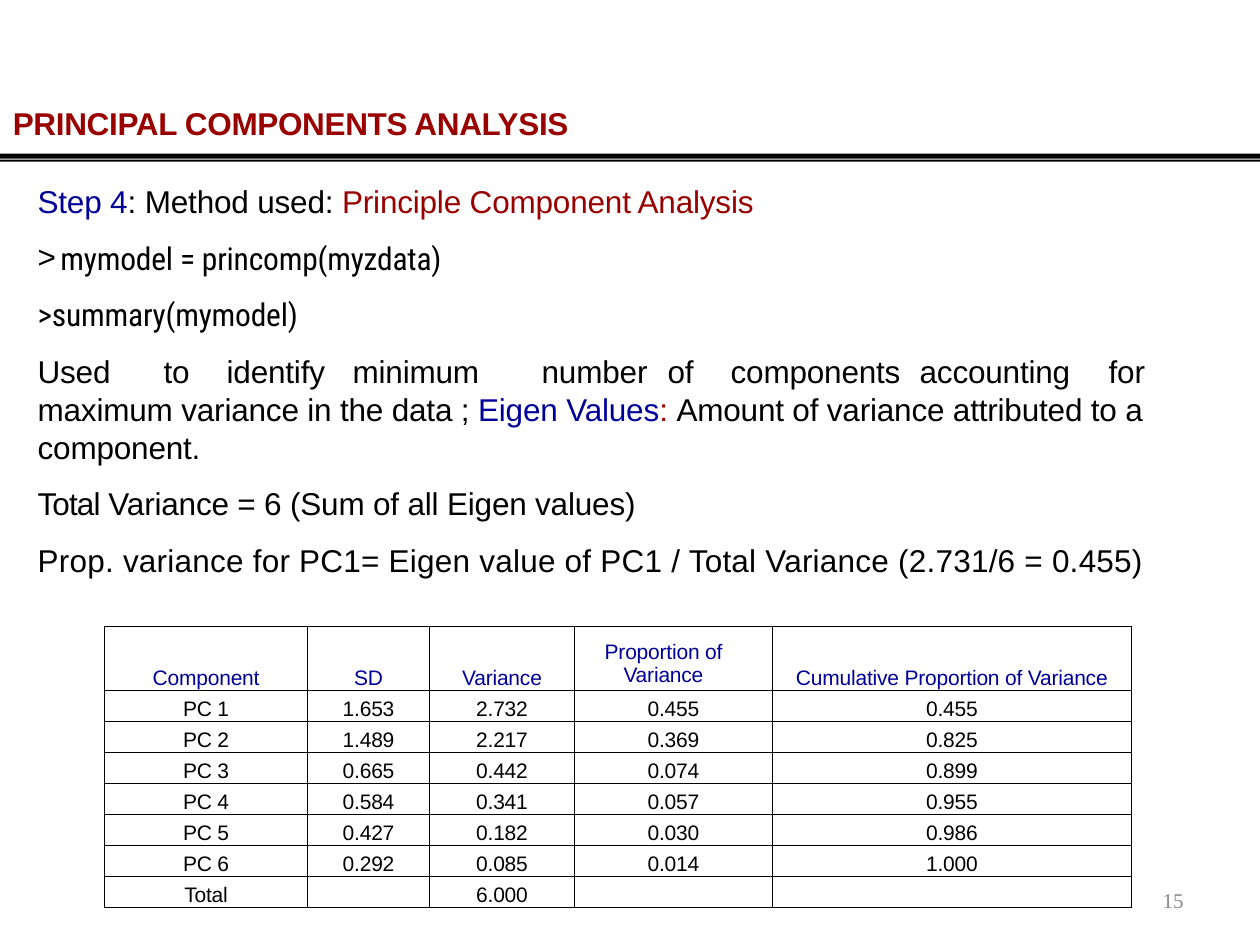
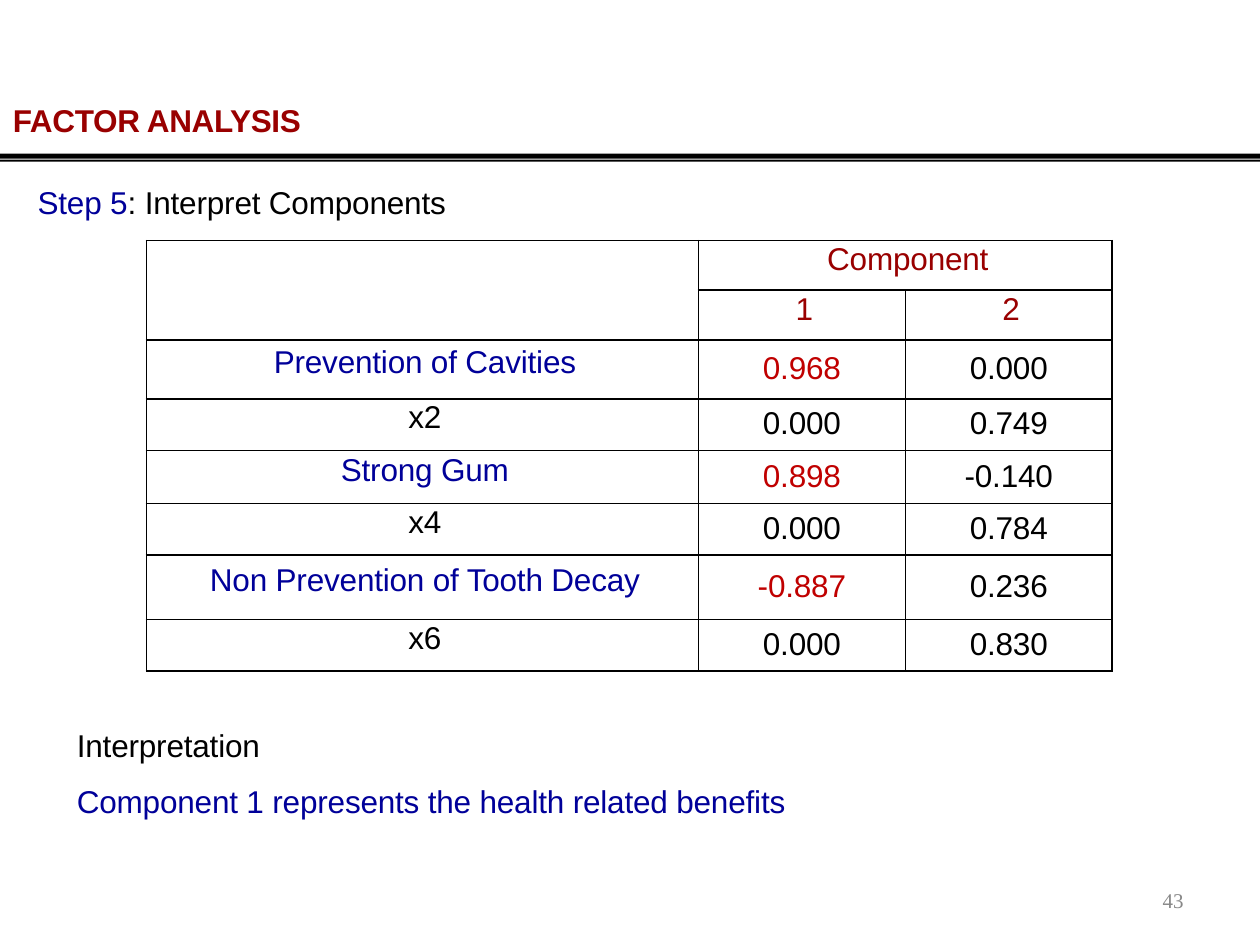
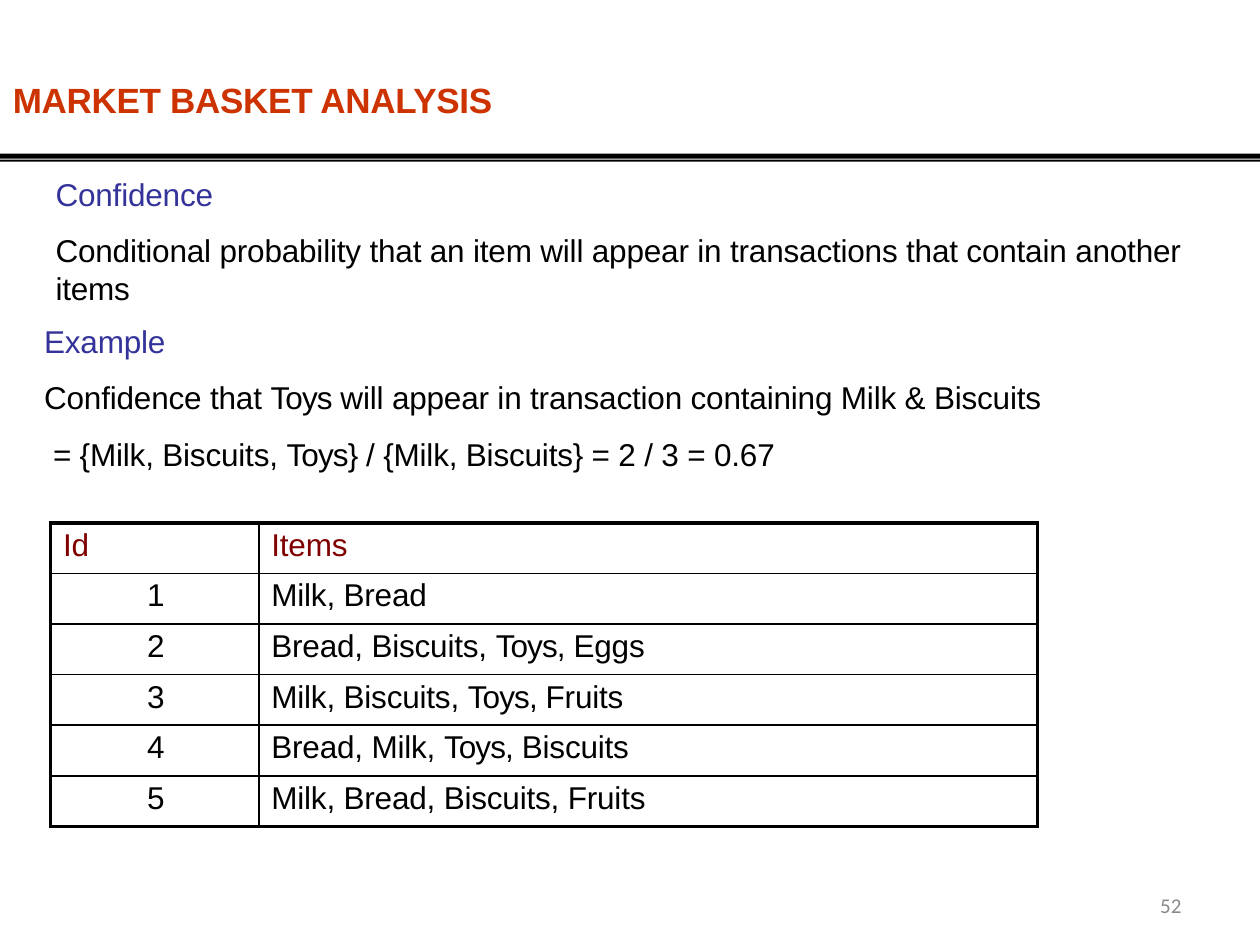
from dataclasses import dataclass
from typing import NamedTuple, Optional

from lxml.etree import SubElement
from pptx import Presentation
from pptx.dml.color import RGBColor
from pptx.enum.text import MSO_AUTO_SIZE as AutoSize, PP_ALIGN as Align
from pptx.oxml.ns import qn
from pptx.util import Cm, Pt

BLACK = RGBColor(0, 0, 0)
BLUE = RGBColor(0, 0, 0x99)
INDIGO = RGBColor(0x33, 0x33, 0x99)
DARK_RED = RGBColor(0x99, 0, 0)
RED = RGBColor(0xC0, 0, 0)
MAROON = RGBColor(0x80, 0, 0)
ORANGE = RGBColor(0xCC, 0x33, 0)
GREY = RGBColor(0x88, 0x88, 0x88)

SANS, CODE, SERIF, HUMANIST = "Arial", "Roboto Condensed", "Times New Roman", "Calibri"
TIGHT = -0.1
SLIDE_WIDTH, SLIDE_HEIGHT = 25.4, 19.05
BANDS = ((3.1, 3.2), (3.22, 3.26))


class Span(NamedTuple):
    text: str
    color: RGBColor = BLACK
    spacing: float = TIGHT


@dataclass
class Para:
    """A paragraph; indents and tabs in cm, spacing and sizes in points."""
    spans: tuple[Span, ...]
    left: float = 0
    first: float = 0
    before: float = 0
    size: float = 18
    font: str = SANS
    bold: bool = False
    align: Optional[Align] = None
    line: Optional[float] = None
    bullet: str = ""
    tabs: tuple[float, ...] = ()


@dataclass
class Cell:
    para: Para
    top: float = 0
    right: float = 0


class Place(NamedTuple):
    left: float
    top: float
    width: float
    height: float

    def lengths(self) -> list:
        return [Cm(value) for value in self]


def plain(text: str, color: RGBColor = BLACK, **options) -> Para:
    return Para((Span(text, color),), **options)


def write_para(paragraph, para: Para) -> None:
    properties = paragraph._p.get_or_add_pPr()
    properties.set("marL", str(Cm(para.left)))
    properties.set("indent", str(Cm(para.first)))
    paragraph.space_before = Pt(para.before)
    paragraph.alignment = para.align
    if para.line:
        paragraph.line_spacing = Pt(para.line)
    if para.bullet:
        SubElement(properties, qn("a:buFont"), typeface=SANS)
        SubElement(properties, qn("a:buChar"), char=para.bullet)
    if para.tabs:
        tab_list = SubElement(properties, qn("a:tabLst"))
        for position in para.tabs:
            SubElement(tab_list, qn("a:tab"), pos=str(Cm(position)), algn="l")
    for span in para.spans:
        run = paragraph.add_run()
        run.text = span.text
        run.font.name = para.font
        run.font.size = Pt(para.size)
        run.font.bold = para.bold
        run.font.color.rgb = span.color
        run._r.get_or_add_rPr().set("spc", str(round(span.spacing * 100)))


def add_text(slide, place: Place, paras: list[Para], inset: float = 0) -> None:
    box = slide.shapes.add_textbox(*place.lengths())
    frame = box.text_frame
    frame.word_wrap = True
    frame.auto_size = AutoSize.SHAPE_TO_FIT_TEXT
    frame.margin_left = frame.margin_right = frame.margin_bottom = 0
    frame.margin_top = Cm(inset)
    for index, para in enumerate(paras):
        write_para(frame.add_paragraph() if index else frame.paragraphs[0], para)


def add_title_rule(slide) -> None:
    """Draw the thick and thin band under the title as one outline."""
    builder = slide.shapes.build_freeform(0, Cm(BANDS[0][0]))
    for index, (top, bottom) in enumerate(BANDS):
        if index:
            builder.move_to(0, Cm(top))
        corners = ((SLIDE_WIDTH, top), (SLIDE_WIDTH, bottom), (0, bottom))
        builder.add_line_segments([(Cm(x), Cm(y)) for x, y in corners], close=True)
    rule = builder.convert_to_shape()
    rule.shadow.inherit = False
    rule.fill.solid()
    rule.fill.fore_color.rgb = BLACK
    rule.line.fill.background()


def add_page(deck, number: str, font: str = SERIF, indent: float = 0.15, line: float = 14.1):
    page = deck.slides.add_slide(deck.slide_layouts[6])
    add_title_rule(page)
    add_text(page, Place(23.29, 17.91, 0.69, 0.56),
             [Para((Span(number, GREY, 0),), left=indent, size=12, font=font, line=line)])
    return page


def title(text: str, color: RGBColor = DARK_RED, size: float = 18) -> Para:
    return Para((Span(text, color, -0.2),), left=0.03, size=size, bold=True)


def set_borders(cell, widths: dict[str, float]) -> None:
    properties = cell._tc.get_or_add_tcPr()
    for side, width in widths.items():
        line = SubElement(properties, qn(f"a:ln{side}"), w=str(Pt(width)))
        fill = SubElement(line, qn("a:solidFill"))
        SubElement(fill, qn("a:srgbClr"), val=str(BLACK))


def add_grid(slide, place: Place, columns: list[float], heights: list[float],
             rows: list[list[Optional[Cell]]], inner: float, outer: float):
    """Add a ruled table; None leaves a cell empty."""
    table = slide.shapes.add_table(len(rows), len(columns), *place.lengths()).table
    table.first_row = table.horz_banding = False
    for column, width in zip(table.columns, columns):
        column.width = Cm(width)
    for row, height in zip(table.rows, heights):
        row.height = Cm(height)
    for i, row in enumerate(rows):
        for j, content in enumerate(row):
            cell = table.cell(i, j)
            cell.margin_left = cell.margin_right = cell.margin_top = cell.margin_bottom = 0
            set_borders(cell, {
                "L": outer if j == 0 else inner,
                "R": outer if j == len(columns) - 1 else inner,
                "T": outer if i == 0 else inner,
                "B": outer if i == len(rows) - 1 else inner,
            })
            cell.fill.background()
            paragraph = cell.text_frame.paragraphs[0]
            if content:
                cell.margin_top, cell.margin_right = Cm(content.top), Cm(content.right)
                write_para(paragraph, content.para)
            else:
                paragraph._p.get_or_add_endParaRPr().set("sz", "1200")
    return table


def add_principal_components(deck) -> None:
    page = add_page(deck, "15")
    tabs = (2.39, 3.3, 5.69, 8.64, 11.18, 12.07, 15.93, 19.35)
    body = dict(left=0.53, before=10.8)
    add_text(page, Place(0.23, 2.06, 23.47, 9.73), [
        title("PRINCIPAL COMPONENTS ANALYSIS"),
        Para((Span("Step 4", BLUE), Span(": Method used: "),
              Span("Principle Component Analysis", DARK_RED)), left=0.53, before=23),
        plain("mymodel = princomp(myzdata)", left=0.99, first=-0.46, before=10.9,
              font=CODE, bullet=">"),
        plain(">summary(mymodel)", font=CODE, **body),
        Para((Span("Used\tto\tidentify\tminimum\tnumber\tof\tcomponents\taccounting\tfor\t"
                   "maximum variance in the data ; "),
              Span("Eigen Values", BLUE), Span(": ", DARK_RED),
              Span("Amount of variance attributed to a component.")), tabs=tabs, **body),
        Para((Span("Total ", spacing=-0.5), Span("Variance = 6 (Sum of all Eigen values)")),
             **body),
        Para((Span("Prop. variance for PC1= Eigen value of PC1 / Total Variance "
                   "(2.731/6 = 0.455)", spacing=0.15),), **body),
    ], inset=0.03)

    def centred(text: str, color: RGBColor, top: float) -> Cell:
        return Cell(plain(text, color, size=12, align=Align.CENTER, line=13.4), top)

    header = [centred(text, BLUE, 0.81) for text in
              ("Component", "SD", "Variance", "", "Cumulative Proportion of Variance")]
    header[3] = Cell(plain("Proportion of Variance", BLUE, left=0.99, first=-0.38, size=12), 0.28)
    values = [
        ("PC 1", "1.653", "2.732", "0.455", "0.455"),
        ("PC 2", "1.489", "2.217", "0.369", "0.825"),
        ("PC 3", "0.665", "0.442", "0.074", "0.899"),
        ("PC 4", "0.584", "0.341", "0.057", "0.955"),
        ("PC 5", "0.427", "0.182", "0.030", "0.986"),
        ("PC 6", "0.292", "0.085", "0.014", "1.000"),
        ("Total", "", "6.000", "", ""),
    ]
    rows = [[centred(text, BLACK, 0.15) if text else None for text in row] for row in values]
    add_grid(page, Place(2.11, 12.62, 20.7, 5.56), [4.09, 2.46, 2.92, 3.99, 7.24],
             [1.12] + [0.56] * len(rows), [header] + rows, inner=0.5, outer=0.5)


def add_factor_analysis(deck) -> None:
    page = add_page(deck, "43")
    add_text(page, Place(0.23, 2.01, 8.89, 2.44), [
        title("FACTOR ANALYSIS"),
        Para((Span("Step 5", BLUE), Span(": Interpret Components")), left=0.53, before=25),
    ], inset=0.03)
    add_text(page, Place(1.52, 14.22, 14.53, 2.36), [
        plain("Interpretation", left=0.03),
        plain("Component 1 represents the health related benefits", BLUE, left=0.03, before=10.8),
    ], inset=0.41)

    def centred(text: str, color: RGBColor, top: float = 0, left: float = 0.1,
                line: Optional[float] = None) -> Cell:
        return Cell(plain(text, color, left=left, align=Align.CENTER, line=line), top)

    component, one, two = (centred(text, DARK_RED, line=21.1) for text in ("Component", "1", "2"))
    rows = [[None, component, None], [None, one, two]]
    heights = [1, 1]
    loadings = [
        ("Prevention of Cavities", "0.968", "0.000", 0.1, 1.19),
        ("x2", "0.000", "0.749", 0.03, 1.04),
        ("Strong Gum", "0.898", "-0.140", 0.05, 1.07),
        ("x4", "0.000", "0.784", 0.03, 1.04),
        ("Non Prevention of Tooth Decay", "-0.887", "0.236", 0.15, 1.3),
        ("x6", "0.000", "0.830", 0.03, 1.04),
    ]
    for label, first, second, top, height in loadings:
        named = not label.startswith("x")
        rows.append([centred(label, BLUE if named else BLACK, top),
                     centred(first, RED if named else BLACK, top + 0.12, left=0),
                     centred(second, BLACK, top + 0.12, left=0)])
        heights.append(height)
    table = add_grid(page, Place(2.95, 4.85, 19.46, 8.69), [11.13, 4.17, 4.17],
                     heights, rows, inner=1, outer=1)
    table.cell(0, 0).merge(table.cell(1, 0))
    table.cell(0, 1).merge(table.cell(0, 2))


def add_market_basket(deck) -> None:
    page = add_page(deck, "52", font=HUMANIST, indent=0.1, line=16.5)
    toys_spacing = -0.5
    add_text(page, Place(0.23, 1.55, 23.9, 8), [
        title("MARKET BASKET ANALYSIS", ORANGE, 20),
        plain("Confidence", INDIGO, left=0.89, before=31),
        plain("Conditional probability that an item will appear in transactions that contain "
              "another items", left=0.89, before=10.8),
        plain("Example", INDIGO, left=0.66, before=8.4),
        Para((Span("Confidence that "), Span("Toys ", spacing=toys_spacing),
              Span("will appear in transaction containing Milk & Biscuits")),
             left=0.66, before=10.8),
        Para((Span("= {Milk, Biscuits, "), Span("Toys} ", spacing=toys_spacing),
              Span("/ {Milk, Biscuits} = 2 / 3 = 0.67")), left=0.84, before=10.8),
    ], inset=0.03)

    def items_cell(text: str) -> Cell:
        before, toys, after = text.partition("Toys, ")
        spans = (Span(before), Span(toys, spacing=toys_spacing), Span(after))
        return Cell(Para(tuple(span for span in spans if span.text), left=0.25), 0.1)

    baskets = ["Milk, Bread", "Bread, Biscuits, Toys, Eggs", "Milk, Biscuits, Toys, Fruits",
               "Bread, Milk, Toys, Biscuits", "Milk, Bread, Biscuits, Fruits"]
    rows = [[Cell(plain(text, MAROON, left=0.25), 0.1) for text in ("Id", "Items")]]
    for number, basket in enumerate(baskets, 1):
        rows.append([Cell(plain(str(number), align=Align.RIGHT), 0.1, right=1.9),
                     items_cell(basket)])
    add_grid(page, Place(1.02, 10.54, 19.89, 6.1), [4.2, 15.7], [1.02] * len(rows),
             rows, inner=1, outer=2.25)


def main() -> None:
    deck = Presentation()
    deck.slide_width, deck.slide_height = Cm(SLIDE_WIDTH), Cm(SLIDE_HEIGHT)
    add_principal_components(deck)
    add_factor_analysis(deck)
    add_market_basket(deck)
    deck.save("out.pptx")


if __name__ == "__main__":
    main()
